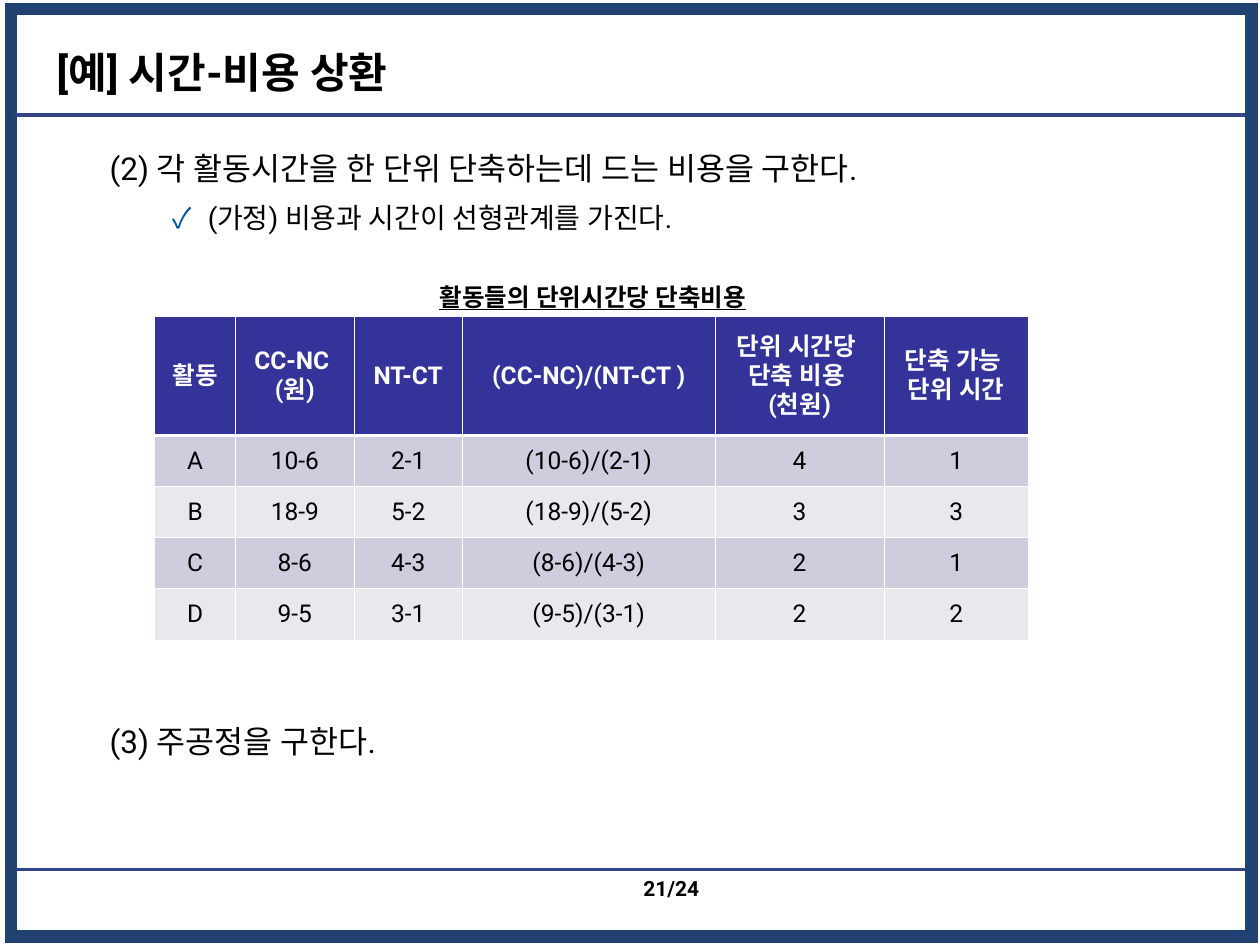
"""Build the time-cost trade-off example slide with its crash cost table."""
from copy import deepcopy
from dataclasses import dataclass

from lxml import etree
from pptx import Presentation
from pptx import util as u
from pptx.dml.color import RGBColor
from pptx.enum import shapes, text
from pptx.oxml import ns


@dataclass(frozen=True)
class Theme:
    latin: str = "Roboto"
    hangul: str = "Noto Sans CJK KR"
    ink: str = "000000"
    white: str = "FFFFFF"
    frame: str = "214171"
    rule: str = "314486"
    check: str = "0051A2"
    header: str = "333399"
    bands: tuple = ("CDCDDE", "E8E8EF")
    title_size: int = 24
    step_size: int = 18
    note_size: int = 16
    table_size: int = 14
    page_size: int = 12


def style(para, size, color=Theme.ink, bold=False, font=Theme.latin):
    for span in para.runs:
        span.font.size = u.Pt(size)
        span.font.bold = bold
        span.font.name = font
        span.font.color.rgb = RGBColor.from_string(color)
        east = etree.SubElement(span.font._element, ns.qn("a:ea"))
        east.set("typeface", Theme.latin)
    for line_break in para._p.findall(ns.qn("a:br")):
        line_break.append(deepcopy(para.runs[0].font._element))


def add_text(page, left, top, width, height, wording, wrap=True):
    box = page.shapes.add_textbox(u.Cm(left), u.Cm(top), u.Cm(width), u.Cm(height))
    box.text_frame.word_wrap = wrap
    box.text_frame.text = wording
    return box.text_frame


theme = Theme()
deck = Presentation()
deck.slide_width, deck.slide_height = u.Cm(25.4), u.Cm(19.05)
page = deck.slides.add_slide(deck.slide_layouts[6])

frame = page.shapes.add_shape(
    shapes.MSO_SHAPE.RECTANGLE, u.Cm(0.23), u.Cm(0.18), u.Cm(25), u.Cm(18.7))
frame.shadow.inherit = False
frame.fill.background()
frame.line.color.rgb = RGBColor.from_string(theme.frame)
frame.line.width = u.Pt(7)
corner = etree.SubElement(frame.line._get_or_add_ln(), ns.qn("a:miter"))
corner.set("lim", "800000")

for height in (2.32, 17.53):
    rule = page.shapes.add_connector(
        shapes.MSO_CONNECTOR.STRAIGHT, u.Cm(0.3), u.Cm(height), u.Cm(25.1), u.Cm(height))
    rule.line.color.rgb = RGBColor.from_string(theme.rule)
    rule.line.width = u.Pt(2)
    etree.SubElement(rule._element.spPr, ns.qn("a:effectLst"))

number = add_text(page, 11.02, 17.53, 3.33, 0.84, "21/24", wrap=False)
number.paragraphs[0].alignment = text.PP_ALIGN.RIGHT
style(number.paragraphs[0], theme.page_size, bold=True)

title = add_text(page, 0.89, 0.76, 19.81, 1.37, "[예] 시간-비용 상환")
title.vertical_anchor = text.MSO_ANCHOR.MIDDLE
style(title.paragraphs[0], theme.title_size, bold=True)

steps = add_text(page, 0.69, 2.72, 23.42, 14.4, "\n".join([
    "(2) 각 활동시간을 한 단위 단축하는데 드는 비용을 구한다.",
    "(가정) 비용과 시간이 선형관계를 가진다.",
    "(3) 주공정을 구한다."]))
first_step, note, last_step = steps.paragraphs
for para in (first_step, last_step):
    para._p.get_or_add_pPr().set("marL", str(u.Cm(1.27)))
    style(para, theme.step_size)
note_format = note._p.get_or_add_pPr()
note_format.set("marL", str(u.Cm(3.25)))
note_format.set("indent", str(u.Cm(-0.71)))
bullet_color = etree.SubElement(note_format, ns.qn("a:buClr"))
etree.SubElement(bullet_color, ns.qn("a:srgbClr")).set("val", theme.check)
etree.SubElement(note_format, ns.qn("a:buFont")).set("typeface", theme.hangul)
etree.SubElement(note_format, ns.qn("a:buChar")).set("char", "✓")
style(note, theme.note_size)
for para in steps.paragraphs:
    para.line_spacing = 1.2
note.space_before = u.Pt(4)
last_step.space_before = u.Pt(275)

rows = [
    ("활동", "CC-NC \v(원)", "NT-CT", "(CC-NC)/(NT-CT )",
     "단위 시간당 \v단축 비용 \v(천원)", "단축 가능 \v단위 시간"),
    ("A", "10-6", "2-1", "(10-6)/(2-1)", "4", "1"),
    ("B", "18-9", "5-2", "(18-9)/(5-2)", "3", "3"),
    ("C", "8-6", "4-3", "(8-6)/(4-3)", "2", "1"),
    ("D", "9-5", "3-1", "(9-5)/(3-1)", "2", "2"),
]
widths = (1.63, 2.39, 2.18, 5.1, 3.4, 2.92)
heights = (2.4, 1.03, 1.03, 1.03, 1.03)
table = page.shapes.add_table(
    len(rows), len(widths), u.Cm(3.12), u.Cm(6.38),
    u.Cm(sum(widths)), u.Cm(sum(heights))).table
table.first_row = table.horz_banding = False
for column, width in zip(table.columns, widths):
    column.width = u.Cm(width)
for index, (row, height, values) in enumerate(zip(table.rows, heights, rows)):
    row.height = u.Cm(height)
    is_header = index == 0
    for cell, value in zip(row.cells, values):
        para = cell.text_frame.paragraphs[0]
        para.text = value
        para.alignment = text.PP_ALIGN.CENTER
        cell.vertical_anchor = text.MSO_ANCHOR.MIDDLE
        style(para, theme.table_size, theme.white if is_header else theme.ink, is_header)
        for side in "LRTB":
            heavy = (index, side) in ((0, "B"), (1, "T"))
            border = etree.SubElement(cell._tc.get_or_add_tcPr(), ns.qn(f"a:ln{side}"))
            border.set("w", str(u.Pt(1.47 if heavy else 0.45)))
            fill = etree.SubElement(border, ns.qn("a:solidFill"))
            etree.SubElement(fill, ns.qn("a:srgbClr")).set("val", theme.white)
        cell.fill.solid()
        cell.fill.fore_color.rgb = RGBColor.from_string(
            theme.header if is_header else theme.bands[(index - 1) % 2])

caption = add_text(page, 8.61, 5.57, 6.71, 0.86, "활동들의 단위시간당 단축비용", wrap=False)
style(caption.paragraphs[0], theme.table_size, bold=True, font=theme.hangul)
caption.paragraphs[0].runs[0].font.underline = True

deck.save("out.pptx")
